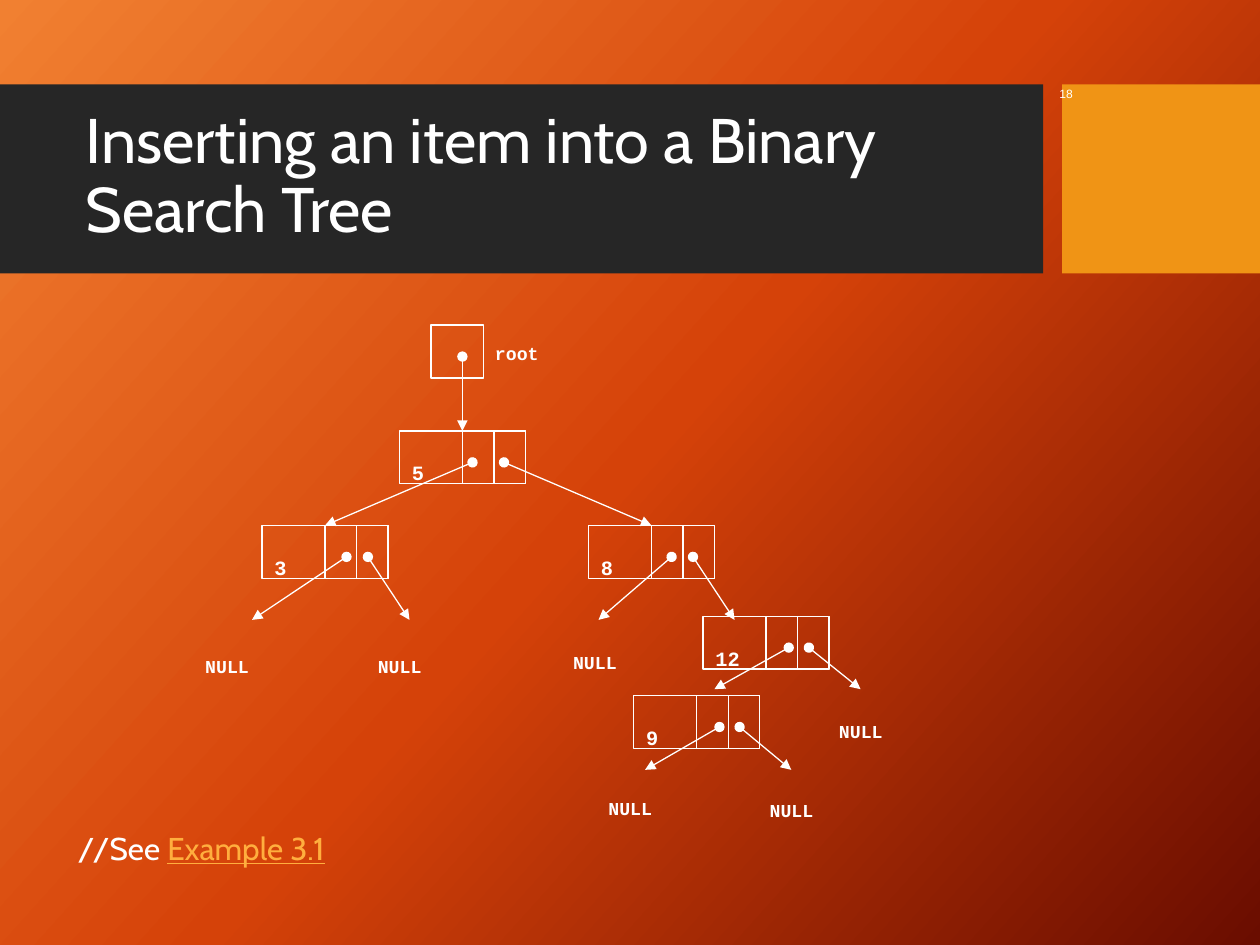
from copy import deepcopy

from lxml import etree
from pptx import Presentation
from pptx.dml.color import RGBColor
from pptx.enum.shapes import MSO_CONNECTOR, MSO_SHAPE
from pptx.enum.text import MSO_ANCHOR, MSO_AUTO_SIZE, PP_ALIGN
from pptx.oxml.ns import qn
from pptx.util import Inches, Pt

LINE, RECT = MSO_CONNECTOR.STRAIGHT, MSO_SHAPE.RECTANGLE
TOP, MIDDLE = MSO_ANCHOR.TOP, MSO_ANCHOR.MIDDLE
LEFT, FIXED = PP_ALIGN.LEFT, MSO_AUTO_SIZE.NONE
WHITE = RGBColor(0xFF, 0xFF, 0xFF)
DARK = RGBColor(0x26, 0x26, 0x26)
AMBER = RGBColor(0xF0, 0x94, 0x15)
LINK = RGBColor(0xFF, 0xAE, 0x3E)
FADE = [
    (0, RGBColor(0xF1, 0x80, 0x31)),
    (0.5, RGBColor(0xD5, 0x42, 0x09)),
    (1, RGBColor(0x6A, 0x0D, 0x00)),
]
SANS, MONO = "Cabin", "Courier New"
HIGH, CELL = 0.42, 0.25
SINK = "-25000"

TITLE = "Inserting an item into a Binary Search Tree"
BARS = [(0, 8.28, DARK), (8.43, 1.57, AMBER)]
NODES = {
    "5": (3.17, 3.42),
    "3": (2.08, 4.17),
    "8": (4.67, 4.17),
    "12": (5.58, 4.89),
    "9": (5.03, 5.52),
}
LABELS = [
    ("root", 3.83, 2.5),
    ("NULL", 1.53, 4.98),
    ("NULL", 2.9, 4.98),
    ("NULL", 4.45, 4.95),
    ("NULL", 6.56, 5.5),
    ("NULL", 4.73, 6.11),
    ("NULL", 6.01, 6.13),
]
JOINED = [
    (3.67, 2.83, "5"),
    (3.75, 3.67, "3"),
    (4, 3.67, "8"),
]
FREE = [
    (2.75, 4.42, 2, 4.92),
    (2.92, 4.42, 3.25, 4.92),
    (5.33, 4.42, 4.75, 4.92),
    (5.5, 4.42, 5.83, 4.92),
    (6.26, 5.14, 5.67, 5.47),
    (6.42, 5.14, 6.83, 5.47),
    (5.71, 5.77, 5.12, 6.11),
    (5.87, 5.77, 6.28, 6.11),
]

deck = Presentation()
deck.slide_width, deck.slide_height = Inches(10), Inches(7.5)
slide = deck.slides.add_slide(deck.slide_layouts[5])
shapes = slide.shapes


def paint():
    fill = slide.background.fill
    fill.gradient()
    fill.gradient_angle = 318
    stops = slide.element.xpath(".//p:bg//a:gsLst")[0]
    stops.append(deepcopy(stops[-1]))
    for stop, (place, color) in zip(fill.gradient_stops, FADE):
        stop.position = place
        stop.color.rgb = color


def add_box(x, y, w, h, color=None):
    box = shapes.add_shape(RECT, Inches(x), Inches(y), Inches(w), Inches(h))
    box.shadow.inherit = False
    if color is None:
        box.fill.background()
        box.line.color.rgb = WHITE
        box.line.width = Pt(0.75)
    else:
        box.fill.solid()
        box.fill.fore_color.rgb = color
        box.line.fill.background()
    return box


def add_text(text, at, size=18, font=MONO, bold=False, anchor=TOP,
             wrap=False, sunk=False, shape=None, gap=1, link=None):
    box = shape or shapes.add_textbox(0, 0, 0, 0)
    box.left, box.top, box.width, box.height = map(Inches, at)
    frame = box.text_frame
    frame.auto_size, frame.word_wrap = FIXED, wrap
    frame.vertical_anchor = anchor
    para = frame.paragraphs[0]
    para.alignment, para.line_spacing = LEFT, gap
    parts = [(text, WHITE)] + ([(link, LINK)] if link else [])
    for words, color in parts:
        run = para.add_run()
        run.text = words
        style = run.font
        style.name, style.size, style.bold = font, Pt(size), bold
        style.color.rgb = color
        style.underline = color == LINK
        if sunk:
            run._r.get_or_add_rPr().set("baseline", SINK)


def add_arrow(x, y, to_x, to_y):
    arrow = shapes.add_connector(LINE, *map(Inches, (x, y, to_x, to_y)))
    arrow.line.color.rgb = WHITE
    arrow.line.width = Pt(0.75)
    stroke = arrow.line._get_or_add_ln()
    for tag, kind in (("a:headEnd", "oval"), ("a:tailEnd", "triangle")):
        etree.SubElement(stroke, qn(tag)).set("type", kind)
    etree.SubElement(arrow._element.spPr, qn("a:effectLst"))
    return arrow


paint()
title = shapes.title
for x, width, color in BARS:
    bar = add_box(x, 0.67, width, 1.5, color)
    title._element.addprevious(bar._element)
add_text(TITLE, (0.58, 0.82, 7.54, 1.18), size=36, font=SANS,
         anchor=MIDDLE, wrap=True, shape=title, gap=0.9)
add_text("18", (8.31, 0.56, 1.08, 0.25), size=12, font="Arial",
         anchor=MIDDLE, wrap=True, sunk=True)

add_box(3.42, 2.58, HIGH, HIGH)
boxes = {}
for key, (x, y) in NODES.items():
    boxes[key] = add_box(x, y, 1, HIGH)
    for step in (2, 3):
        add_box(x + step * CELL, y, CELL, HIGH)
    add_text(key, (x, y, 0.2 + 0.17 * len(key), 0.44), size=20,
             bold=True, sunk=True)

for x, y, key in JOINED:
    left, top = NODES[key]
    add_arrow(x, y, left + 0.5, top).end_connect(boxes[key], 0)
for ends in FREE:
    add_arrow(*ends)
for text, x, y in LABELS:
    add_text(text, (x, y, 0.8, 0.4), bold=True, sunk=True)
add_text("//See ", (0.52, 6.53, 2.56, 0.4), font=SANS, wrap=True,
         link="Example 3.1")

deck.save("out.pptx")
